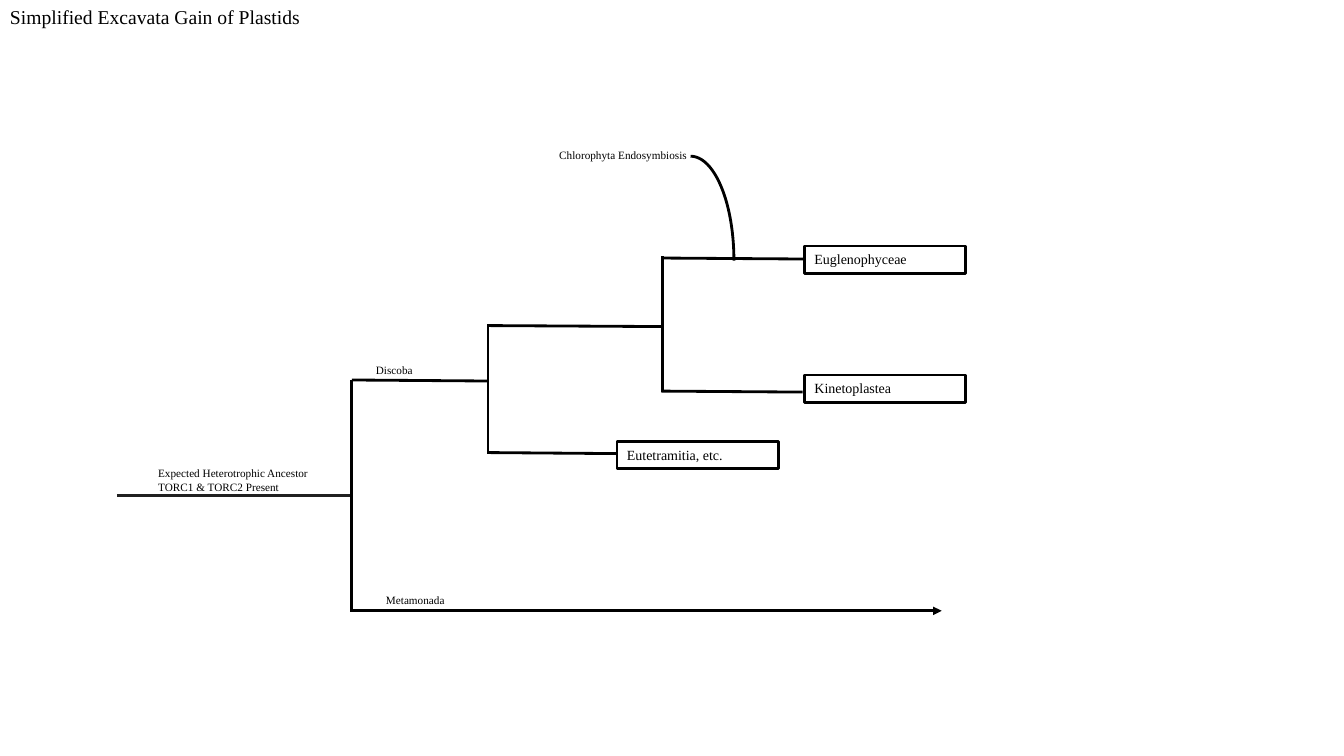
from lxml import etree
from pptx import Presentation
from pptx.dml.color import RGBColor
from pptx.enum.shapes import MSO_CONNECTOR, MSO_SHAPE
from pptx.enum.text import MSO_ANCHOR, MSO_AUTO_SIZE, PP_ALIGN
from pptx.oxml.ns import qn
from pptx.util import Inches, Pt

COLORS = {"ink": "000000", "root": "202020"}
FONT = "Times New Roman"

# Each branch runs from (x, y) to (x, y), in inches.
BRANCHES = [
    (3.49, 4.92, 3.49, 3.77),
    (3.49, 6.07, 3.49, 4.91),
    (3.49, 3.77, 4.84, 3.78),
    (4.84, 3.91, 4.84, 3.21),
    (4.84, 4.5, 4.84, 3.89),
    (4.84, 3.23, 6.57, 3.24),
    (4.84, 4.49, 6.12, 4.5),
    (6.57, 3.89, 6.57, 2.54),
    (6.57, 2.56, 7.98, 2.57),
    (6.56, 3.88, 7.96, 3.89),
]
TAXA = [
    ("Eutetramitia, etc.", 6.12, 4.38),
    ("Euglenophyceae", 7.98, 2.44),
    ("Kinetoplastea", 7.98, 3.72),
]


def color(name):
    return RGBColor.from_string(COLORS[name])


def style_line(line, name="ink"):
    line.color.rgb = color(name)
    line.width = Pt(2)


def write(frame, lines, size, align=PP_ALIGN.LEFT):
    frame.word_wrap = True
    frame.auto_size = MSO_AUTO_SIZE.SHAPE_TO_FIT_TEXT
    for index, text in enumerate(lines):
        para = frame.paragraphs[0] if index == 0 else frame.add_paragraph()
        para.text = text
        para.alignment = align
        para.font.name = FONT
        para.font.size = Pt(size)
        para.font.color.rgb = color("ink")


def add_label(page, lines, left, top, width, height, size=8, align=PP_ALIGN.LEFT):
    box = page.shapes.add_textbox(
        Inches(left), Inches(top), Inches(width), Inches(height))
    write(box.text_frame, lines, size, align)


def add_branch(page, x1, y1, x2, y2, name="ink", arrow=False):
    branch = page.shapes.add_connector(
        MSO_CONNECTOR.STRAIGHT, Inches(x1), Inches(y1), Inches(x2), Inches(y2))
    style_line(branch.line, name)
    if arrow:
        line = branch.line._get_or_add_ln()
        etree.SubElement(line, qn("a:tailEnd"), type="triangle")
    etree.SubElement(branch._element.spPr, qn("a:effectLst"))


def add_outline(page, preset, left, top, width, height):
    shape = page.shapes.add_shape(
        preset, Inches(left), Inches(top), Inches(width), Inches(height))
    shape.shadow.inherit = False
    shape.fill.background()
    style_line(shape.line)
    return shape


def add_taxon(page, name, left, top):
    box = add_outline(page, MSO_SHAPE.RECTANGLE, left, top, 1.6, 0.27)
    box.text_frame.vertical_anchor = MSO_ANCHOR.TOP
    write(box.text_frame, [name], 10)


def main():
    deck = Presentation()
    deck.slide_width, deck.slide_height = Inches(13.33), Inches(7.5)
    page = deck.slides.add_slide(deck.slide_layouts[6])

    add_label(page, ["Simplified Excavata Gain of Plastids"],
              0, 0, 3.62, 0.34, size=14)

    add_branch(page, 1.16, 4.92, 3.49, 4.92, name="root")
    for branch in BRANCHES:
        add_branch(page, *branch)
    add_branch(page, 3.49, 6.06, 9.34, 6.06, arrow=True)

    for taxon in TAXA:
        add_taxon(page, *taxon)

    add_outline(page, MSO_SHAPE.ARC, 6.42, 1.55, 0.86, 2.07)
    add_label(page, ["Chlorophyta Endosymbiosis"],
              5.39, 1.42, 1.58, 0.24, align=PP_ALIGN.CENTER)
    add_label(page, ["Discoba"], 3.63, 3.56, 0.86, 0.24)
    add_label(page, ["Metamonada"], 3.73, 5.84, 0.86, 0.24)
    add_label(page, ["Expected Heterotrophic Ancestor", "TORC1 & TORC2 Present"],
              1.47, 4.58, 2.26, 0.37)

    deck.save("out.pptx")


if __name__ == "__main__":
    main()
